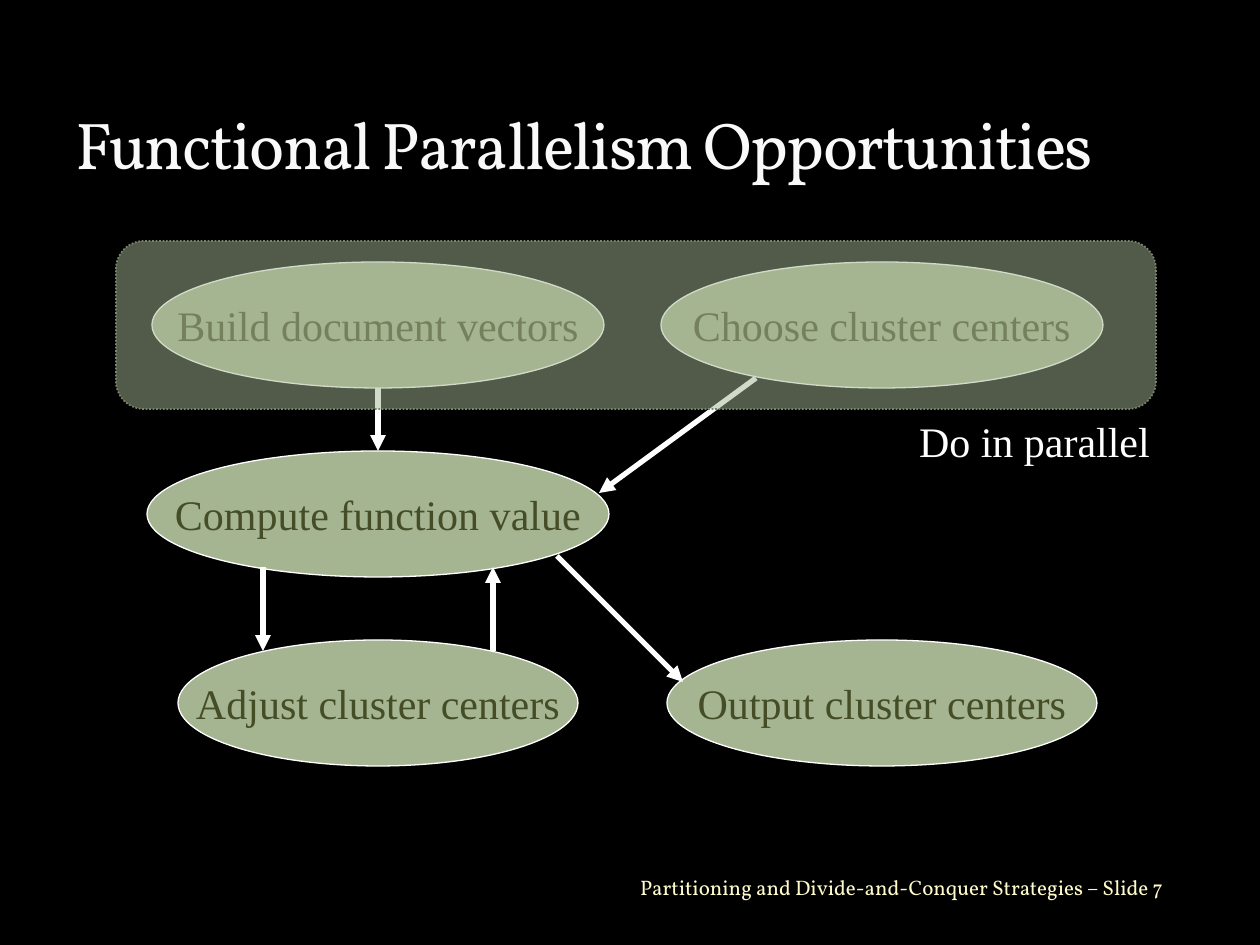
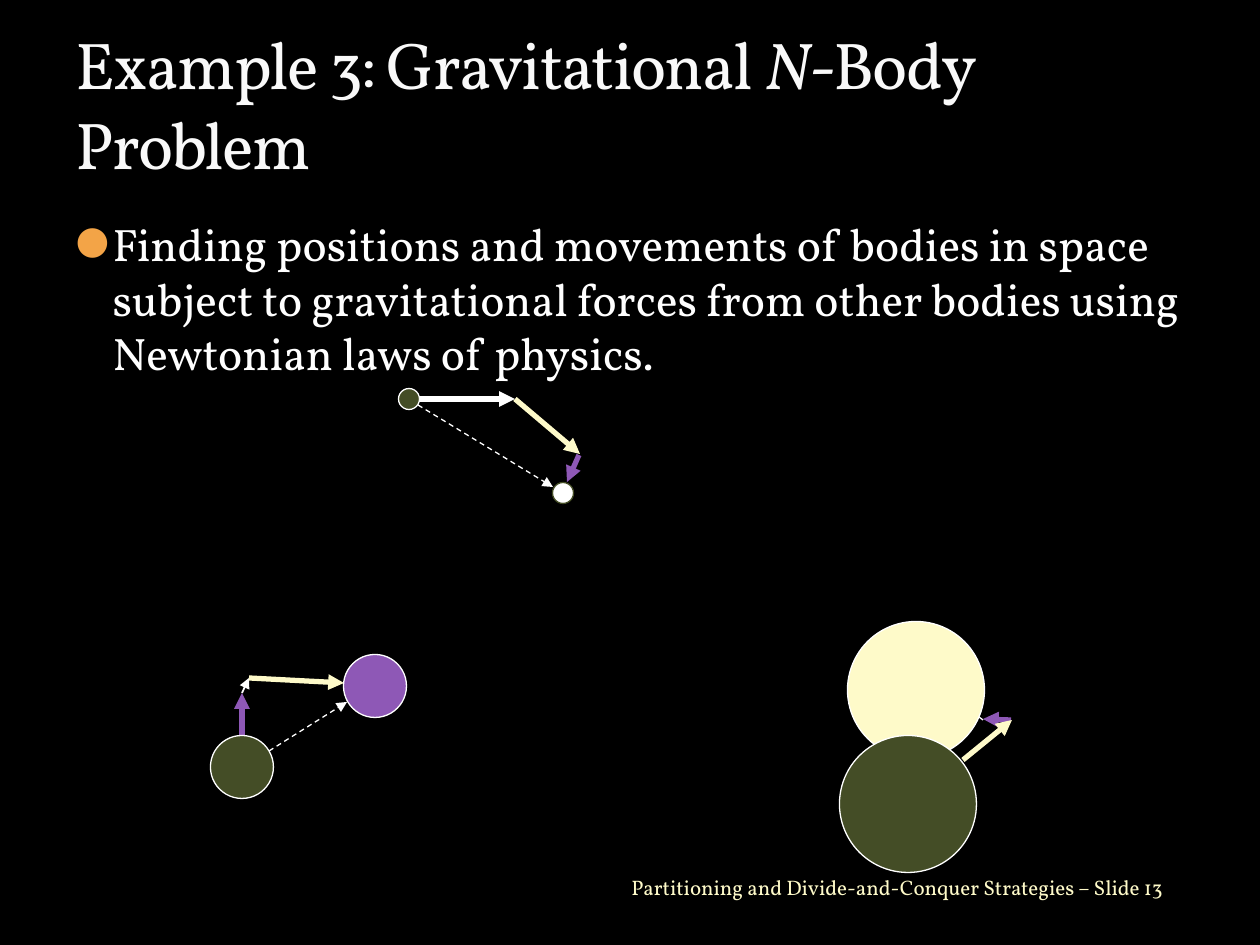
from lxml.etree import SubElement
from pptx import Presentation
from pptx.dml.color import RGBColor
from pptx.enum.dml import MSO_LINE
from pptx.enum.shapes import MSO_CONNECTOR, MSO_SHAPE
from pptx.enum.text import MSO_ANCHOR, MSO_AUTO_SIZE, PP_ALIGN
from pptx.oxml.ns import qn
from pptx.util import Pt

PX = 914400 / 126
BLACK = RGBColor(0x00, 0x00, 0x00)
WHITE = RGBColor(0xFF, 0xFF, 0xFF)
TITLE = RGBColor(0xF9, 0xF9, 0xF9)
CREAM = RGBColor(0xFE, 0xFA, 0xC9)
SAGE = RGBColor(0xA5, 0xB5, 0x92)
OLIVE = RGBColor(0x44, 0x4D, 0x26)
MOSS = RGBColor(0x7A, 0x86, 0x6C)
PURPLE = RGBColor(0x8E, 0x58, 0xB6)
ORANGE = RGBColor(0xF3, 0xA4, 0x47)
SERIF, BODY = "Times New Roman", "Vollkorn"

TITLE_FONT = {"name": BODY, "size": Pt(37.8), "bold": False}
TEXT_FONT = {"name": BODY, "size": Pt(26)}
FOOTER_FONT = {"name": BODY, "size": Pt(12)}
LABEL_FONT = {"name": SERIF, "size": Pt(24)}
FOOTER = "Partitioning and Divide-and-Conquer Strategies – Slide {}"


def emu(*lengths):
    return [round(n * PX) for n in lengths]


def set_all(target, values):
    for name, value in values.items():
        setattr(target, name, value)


def place(shape, *box):
    set_all(shape, dict(zip(("left", "top", "width", "height"), emu(*box))))


def add_run(p, text, font, color, **extra):
    r = p.add_run()
    r.text = text
    set_all(r.font, {**font, **extra})
    r.font.color.rgb = color
    return r


def write_line(shape, text, font, color, align, wrap):
    tf = shape.text_frame
    set_all(tf, {"word_wrap": wrap, "vertical_anchor": MSO_ANCHOR.MIDDLE})
    p = tf.paragraphs[0]
    p.alignment = align
    add_run(p, text, font, color)


def add_text(s, box, text, font, color, align, wrap=True):
    write_line(s.shapes.add_textbox(*emu(*box)), text, font, color, align, wrap)


def add_shape(s, kind, box, fill, line, width=0.75):
    sp = s.shapes.add_shape(kind, *emu(*box))
    sp.shadow.inherit = False
    sp.fill.solid()
    sp.fill.fore_color.rgb = fill
    sp.line.color.rgb = line
    sp.line.width = Pt(width)
    return sp


def add_step(s, cx, cy, width, text):
    sp = add_shape(s, MSO_SHAPE.OVAL, (cx - width / 2, cy - 63, width, 126), SAGE, WHITE)
    write_line(sp, text, LABEL_FONT, OLIVE, PP_ALIGN.CENTER, False)


def add_body(s, cx, cy, size, fill, line=WHITE):
    add_shape(s, MSO_SHAPE.OVAL, (cx - size / 2, cy - size / 2, size, size), fill, line)


def add_line(s, x1, y1, x2, y2, color=WHITE, width=3, dash=None, head=True):
    cxn = s.shapes.add_connector(MSO_CONNECTOR.STRAIGHT, *emu(x1, y1, x2, y2))
    set_all(cxn.line, {"width": Pt(width), "dash_style": dash})
    cxn.line.color.rgb = color
    if head:
        SubElement(cxn.line._get_or_add_ln(), qn("a:tailEnd"), type="triangle")
    SubElement(cxn._element.spPr, qn("a:effectLst"))


def add_band(s, box):
    sp = add_shape(s, MSO_SHAPE.ROUNDED_RECTANGLE, box, SAGE, MOSS, 1)
    sp.line.dash_style = MSO_LINE.ROUND_DOT
    color = sp._element.spPr.find(qn("a:solidFill"))[0]
    SubElement(color, qn("a:alpha"), val="50000")


def add_slide(prs, layout, number, *title_parts):
    s = prs.slides.add_slide(prs.slide_layouts[layout])
    s.background.fill.solid()
    s.background.fill.fore_color.rgb = BLACK
    place(s.shapes.title, 63, 21, 1134, 168)
    tf = s.shapes.title.text_frame
    set_all(tf, {"vertical_anchor": MSO_ANCHOR.BOTTOM, "word_wrap": True,
                 "auto_size": MSO_AUTO_SIZE.NONE})
    p = tf.paragraphs[0]
    p.alignment = PP_ALIGN.LEFT
    for text, italic in title_parts:
        r = add_run(p, text, TITLE_FONT, TITLE, italic=italic)
        r._r.get_or_add_rPr().set("spc", "-100")
    add_text(s, (262, 861, 914, 53), FOOTER.format(number), FOOTER_FONT, CREAM, PP_ALIGN.RIGHT)
    return s


def add_bullet(s, text):
    sp = s.placeholders[1]
    place(sp, 63, 210, 1134, 630)
    sp.text_frame.auto_size = MSO_AUTO_SIZE.NONE
    p = sp.text_frame.paragraphs[0]
    p.space_before = Pt(6)
    add_run(p, text, TEXT_FONT, WHITE)
    pPr = p._p.get_or_add_pPr()
    indent = emu(37)[0]
    pPr.set("marL", str(indent))
    pPr.set("indent", str(-indent))
    SubElement(SubElement(pPr, qn("a:buClr")), qn("a:srgbClr"), val=str(ORANGE))
    SubElement(pPr, qn("a:buSzPct"), val="85000")
    SubElement(pPr, qn("a:buFont"), typeface=BODY)
    SubElement(pPr, qn("a:buChar"), char="●")


def build_parallelism(prs):
    s = add_slide(prs, 5, 7, ("Functional Parallelism Opportunities", False))
    left, right = 378, 882
    top, middle, bottom = (325 + 189 * row for row in range(3))
    for step in (
        (left, top, 452, "Build document vectors"),
        (left, middle, 462, "Compute function value"),
        (right, top, 442, "Choose cluster centers"),
        (left, bottom, 400, "Adjust cluster centers"),
        (right, bottom, 430, "Output cluster centers"),
    ):
        add_step(s, *step)
    for ends in (
        (left, top + 63, left, middle - 63),
        (263, 567, 263, 651),
        (493, 651, 493, 567),
        (557, 556, 683, 682),
        (756, 378, 599, 493),
    ):
        add_line(s, *ends)
    add_band(s, (116, 241, 1040, 168))
    add_text(s, (872, 378, 325, 126), "Do in parallel", LABEL_FONT, WHITE,
             PP_ALIGN.CENTER, False)


def build_n_body(prs):
    s = add_slide(prs, 1, 13, ("Example 3: Gravitational ", False), ("N", True),
                  ("-Body Problem", False))
    add_bullet(s, "Finding positions and movements of bodies in space subject to "
                  "gravitational forces from other bodies using Newtonian laws of physics.")
    for force in (
        (515, 399, 580, 454, CREAM),
        (242, 693, 249, 678, WHITE, 1),
        (1011, 720, 983, 719, PURPLE),
        (579, 455, 567, 482, PURPLE),
        (249, 678, 344, 683, CREAM),
        (983, 720, 979, 717, WHITE, 0.75, None, False),
        (420, 399, 515, 399, WHITE),
        (242, 736, 242, 693, PURPLE),
        (963, 760, 1012, 720, CREAM),
    ):
        add_line(s, *force)
    for motion in ((418, 405, 553, 487), (269, 751, 347, 702)):
        add_line(s, *motion, WHITE, 0.75, MSO_LINE.DASH)
    for body in (
        (563, 493, 21, WHITE, OLIVE),
        (375, 686, 63, PURPLE),
        (916, 690, 137, CREAM),
        (409, 399, 21, OLIVE),
        (242, 767, 63, OLIVE),
        (908, 804, 137, OLIVE),
    ):
        add_body(s, *body)


def main():
    prs = Presentation()
    prs.slide_width, prs.slide_height = emu(1260, 945)
    build_parallelism(prs)
    build_n_body(prs)
    prs.save("out.pptx")


if __name__ == "__main__":
    main()
